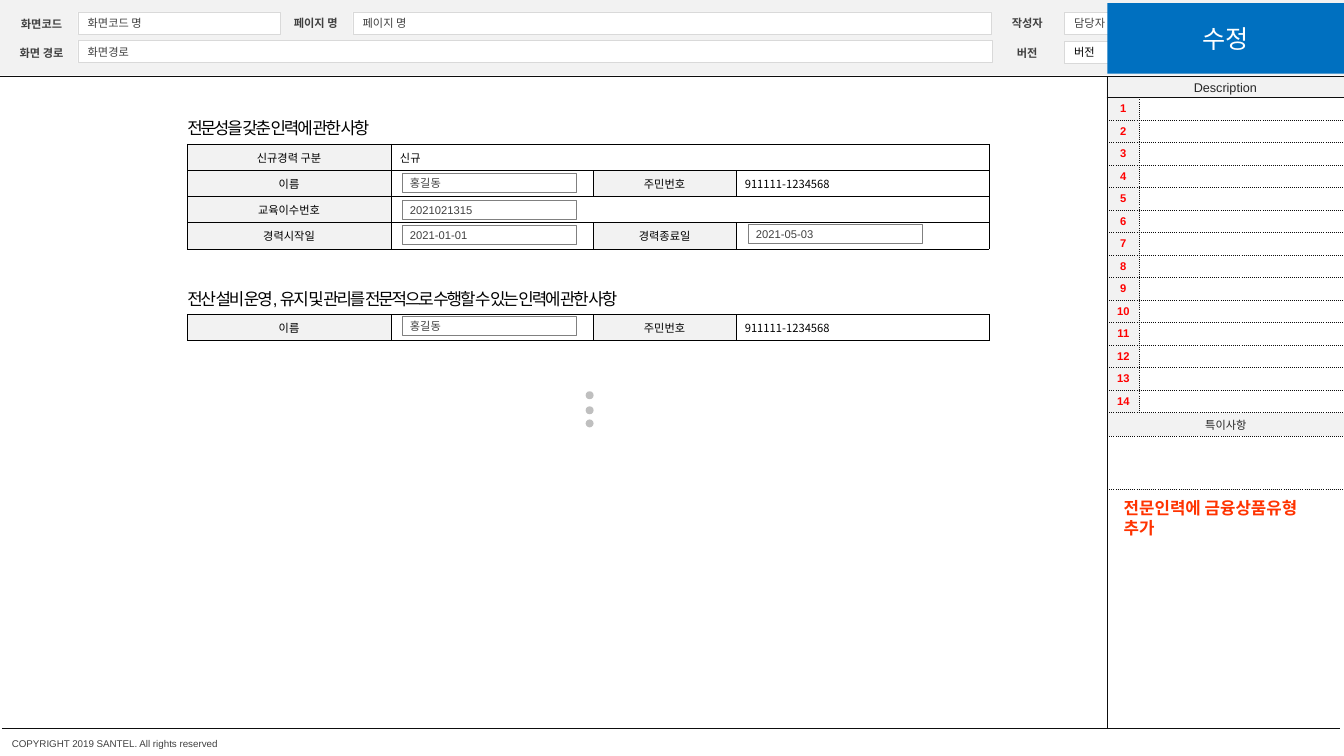
import dataclasses
import typing

import lxml.etree
import pptx
import pptx.dml.color
import pptx.enum.dml
import pptx.enum.shapes
import pptx.enum.text
import pptx.oxml.ns
import pptx.util

Cm = pptx.util.Cm
Pt = pptx.util.Pt
qn = pptx.oxml.ns.qn
KIND = pptx.enum.shapes.MSO_SHAPE
MID = pptx.enum.text.MSO_ANCHOR.MIDDLE
TOP = pptx.enum.text.MSO_ANCHOR.TOP
MARK = pptx.enum.text.PP_ALIGN.CENTER
LEFT = pptx.enum.text.PP_ALIGN.LEFT
SANS = "Noto Sans CJK KR"
HUES = {
    "white": "FFFFFF", "pale": "F2F2F2", "edge": "D9D9D9", "gray": "808080",
    "dot": "BFBFBF", "text": "404040", "dark": "262626", "ink": "0D0D0D",
    "black": "000000", "red": "FF0000", "note": "FF3300", "blue": "0070C0",
}
SIDES = ("margin_left", "margin_top", "margin_right", "margin_bottom")


@dataclasses.dataclass(frozen=True)
class Style:
    size: float = 8
    hue: str = "text"
    face: str = "Arial"
    bold: bool = False
    align: typing.Any = LEFT
    tight: int = 0


@dataclasses.dataclass(frozen=True)
class Box:
    left: float
    top: float
    width: float
    height: float
    words: str = ""
    style: Style = Style()
    fill: str = ""
    edge: str = ""
    thick: float = 0.25
    pads: tuple[float, ...] = (0.25, 0.13, 0.25, 0.13)
    anchor: typing.Any = MID
    kind: typing.Any = KIND.RECTANGLE


@dataclasses.dataclass(frozen=True)
class Rule:
    left: float
    top: float
    right: float
    base: float


def color(name: str) -> pptx.dml.color.RGBColor:
    return pptx.dml.color.RGBColor.from_string(HUES[name])


def apply(thing: typing.Any, values: dict) -> None:
    for name, value in values.items():
        setattr(thing, name, value)


def write(frame: typing.Any, words: str, style: Style) -> None:
    line = frame.paragraphs[0]
    line.alignment = style.align
    if not words:
        lxml.etree.SubElement(line._p, qn("a:endParaRPr"), sz=str(style.size * 100))
        return
    run = line.add_run()
    run.text = words
    apply(run.font, {"size": Pt(style.size), "bold": style.bold, "name": style.face})
    run.font.color.rgb = color(style.hue)
    props = run._r.get_or_add_rPr()
    lxml.etree.SubElement(props, qn("a:ea"), typeface=SANS)
    if style.tight:
        props.set("spc", str(style.tight))


def draw_box(slide: typing.Any, box: Box) -> None:
    place = [Cm(x) for x in (box.left, box.top, box.width, box.height)]
    if box.fill:
        shape = slide.shapes.add_shape(box.kind, *place)
        shape.shadow.inherit = False
        shape.fill.solid()
        shape.fill.fore_color.rgb = color(box.fill)
        if box.edge:
            shape.line.color.rgb = color(box.edge)
            shape.line.width = Pt(box.thick)
        else:
            shape.line.fill.background()
    else:
        shape = slide.shapes.add_textbox(*place)
    if box.words:
        frame = shape.text_frame
        apply(frame, {"word_wrap": True, "vertical_anchor": box.anchor})
        apply(frame, {side: Cm(pad) for side, pad in zip(SIDES, box.pads)})
        write(frame, box.words, box.style)


def draw_rule(slide: typing.Any, rule: Rule) -> None:
    ends = [Cm(x) for x in (rule.left, rule.top, rule.right, rule.base)]
    link = slide.shapes.add_connector(pptx.enum.shapes.MSO_CONNECTOR.STRAIGHT, *ends)
    link.line.color.rgb = color("ink")
    apply(link.line, {"width": Pt(0.25), "dash_style": pptx.enum.dml.MSO_LINE.ROUND_DOT})
    lxml.etree.SubElement(link._element.spPr, qn("a:effectLst"))


def fill_cell(cell: typing.Any, words: str, style: Style, fill: str,
              edge: str, thick: float, dash: str, pad: float = 0.05) -> None:
    props = cell._tc.get_or_add_tcPr()
    for side in ("a:lnL", "a:lnR", "a:lnT", "a:lnB"):
        line = lxml.etree.SubElement(props, qn(side), w=str(Pt(thick)))
        paint = lxml.etree.SubElement(line, qn("a:solidFill"))
        lxml.etree.SubElement(paint, qn("a:srgbClr"), val=HUES[edge])
        lxml.etree.SubElement(line, qn("a:prstDash"), val=dash)
    cell.fill.solid()
    cell.fill.fore_color.rgb = color(fill)
    apply(cell, {side: Cm(0.05) for side in SIDES})
    apply(cell, {"margin_left": Cm(pad), "vertical_anchor": MID})
    write(cell.text_frame, words, style)


def add_grid(slide: typing.Any, left: float, top: float,
             cols: typing.Sequence[float], rows: typing.Sequence[float]) -> typing.Any:
    grid = slide.shapes.add_table(len(rows), len(cols), Cm(left), Cm(top),
                                  Cm(sum(cols)), Cm(sum(rows))).table
    apply(grid, {"first_row": False, "horz_banding": False})
    for col, width in zip(grid.columns, cols):
        col.width = Cm(width)
    for row, height in zip(grid.rows, rows):
        row.height = Cm(height)
    return grid


def draw_form(slide: typing.Any, top: float, rows: list[tuple[str, ...]]) -> None:
    grid = add_grid(slide, 4.72, top, (5.13, 5.11, 3.58, 6.38), [0.66] * len(rows))
    for r, row in enumerate(rows):
        if len(row) == 2:
            grid.cell(r, 1).merge(grid.cell(r, 3))
        for c, words in enumerate(row + ("",) * (4 - len(row))):
            head = c == 0 or c == 2 and len(row) == 4
            style = Style(hue="black", face=SANS if c else "Arial", align=MARK if head else LEFT)
            fill_cell(grid.cell(r, c), words, style, "pale" if head else "white",
                      "black", 0.25, "solid", 0.05 if head else 0.23)


def draw_notes(slide: typing.Any) -> None:
    count = 14
    grid = add_grid(slide, 27.91, 2.46, (0.8, 5.17), [7.94 / count] * count + [0.6, 1.32])
    mark = Style(hue="red", bold=True, align=MARK)
    rows = [(str(n + 1), mark, "pale") for n in range(count)]
    rows += [("특이사항", Style(hue="dark", align=MARK), "pale"), ("", Style(), "white")]
    for r, (words, style, fill) in enumerate(rows):
        if r >= count:
            grid.cell(r, 0).merge(grid.cell(r, 1))
        fill_cell(grid.cell(r, 0), words, style, fill, "ink", 0.5, "sysDot")
        fill_cell(grid.cell(r, 1), "", Style(), "white", "ink", 0.5, "sysDot")


def main() -> None:
    deck = pptx.Presentation()
    apply(deck, {"slide_width": Cm(33.87), "slide_height": Cm(19.05)})
    slide = deck.slides.add_slide(deck.slide_layouts[6])
    label = Style(bold=True, align=MARK)
    title = Style(12, "black", tight=-150)
    bare = (0, 0, 0, 0)

    draw_box(slide, Box(0, 0, 33.87, 1.9, fill="pale"))
    for left, top, width, words, hue in (
        (1.96, 0.3, 5.1, "화면코드 명", "text"),
        (1.96, 1.02, 23.04, "화면경로", "text"),
        (8.89, 0.3, 16.1, "페이지 명", "text"),
        (26.82, 0.3, 2.41, "담당자", "text"),
        (26.82, 1.04, 2.41, "버전", "black"),
    ):
        draw_box(slide, Box(left, top, width, 0.56, words, Style(hue=hue), "white", "edge",
                            pads=(0.25, 0, 0.25, 0)))
    for left, top, words in (
        (0.15, 0.43, "화면코드"), (0.15, 1.17, "화면 경로"), (7.06, 0.41, "페이지 명"),
        (24.99, 0.41, "작성자"), (24.99, 1.17, "버전"),
    ):
        draw_box(slide, Box(left, top, 1.8, 0.33, words, label, pads=bare, anchor=TOP))
    draw_box(slide, Box(27.89, 1.93, 5.98, 0.56, "Description",
                        Style(9, "dark", align=MARK), "pale"))
    draw_box(slide, Box(0.3, 18.59, 9.27, 0.3, "COPYRIGHT 2019 SANTEL. All rights reserved",
                        Style(7), pads=bare, anchor=TOP))
    for rule in (Rule(27.89, 2.46, 33.87, 2.46), Rule(27.89, 1.93, 27.89, 18.36),
                 Rule(0, 1.92, 33.87, 1.92), Rule(0.05, 18.36, 33.76, 18.36)):
        draw_rule(slide, rule)

    draw_box(slide, Box(4.47, 2.84, 6.2, 0.76, "전문성을 갖춘 인력에 관한 사항", title, anchor=TOP))
    draw_form(slide, 3.63, [
        ("신규경력 구분", "신규"),
        ("이름", "", "주민번호", "911111-1234568"),
        ("교육이수번호", ""),
        ("경력시작일", "", "경력종료일", ""),
    ])
    draw_box(slide, Box(4.47, 7.14, 13.59, 0.76,
                        "전산 설비 운영, 유지 및 관리를 전문적으로 수행할 수 있는 인력에 관한 사항",
                        title, anchor=TOP))
    draw_form(slide, 7.92, [("이름", "", "주민번호", "911111-1234568")])
    for left, top, words in (
        (10.13, 4.37, "홍길동"), (10.13, 5.05, "2021021315"), (10.13, 5.69, "2021-01-01"),
        (18.85, 5.66, "2021-05-03"), (10.13, 7.98, "홍길동"),
    ):
        draw_box(slide, Box(left, top, 4.39, 0.48, words, Style(), "white", "gray", 0.5,
                            (0.2, 0.1, 0.46, 0.1)))
    for top in (9.86, 10.24, 10.57):
        draw_box(slide, Box(14.76, top, 0.2, 0.2, fill="dot", kind=KIND.OVAL))

    draw_box(slide, Box(27.91, 0.08, 5.96, 1.78, "수정",
                        Style(18, "white", SANS, align=MARK), "blue"))
    draw_notes(slide)
    draw_box(slide, Box(28.07, 12.4, 5.69, 1.27, "전문인력에 금융상품유형 추가",
                        Style(12, "note", SANS, True), anchor=TOP))
    deck.save("out.pptx")


if __name__ == "__main__":
    main()
